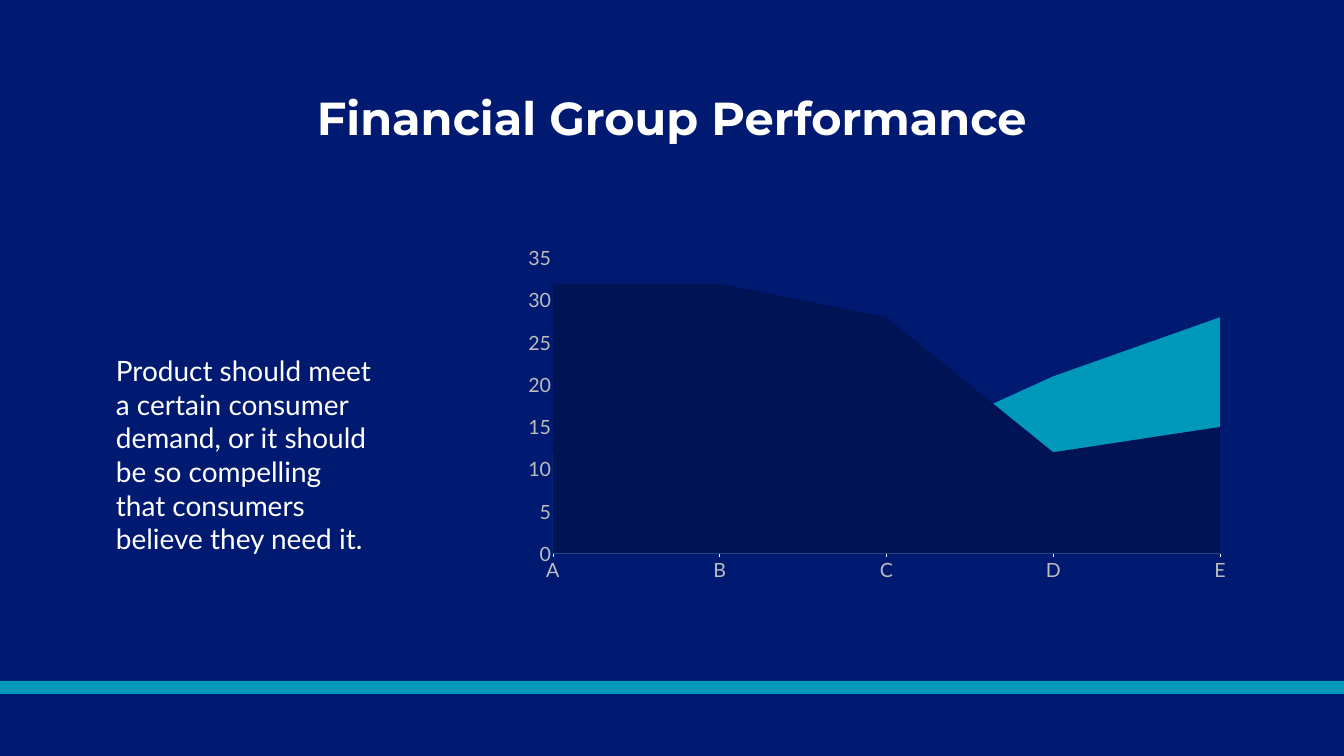
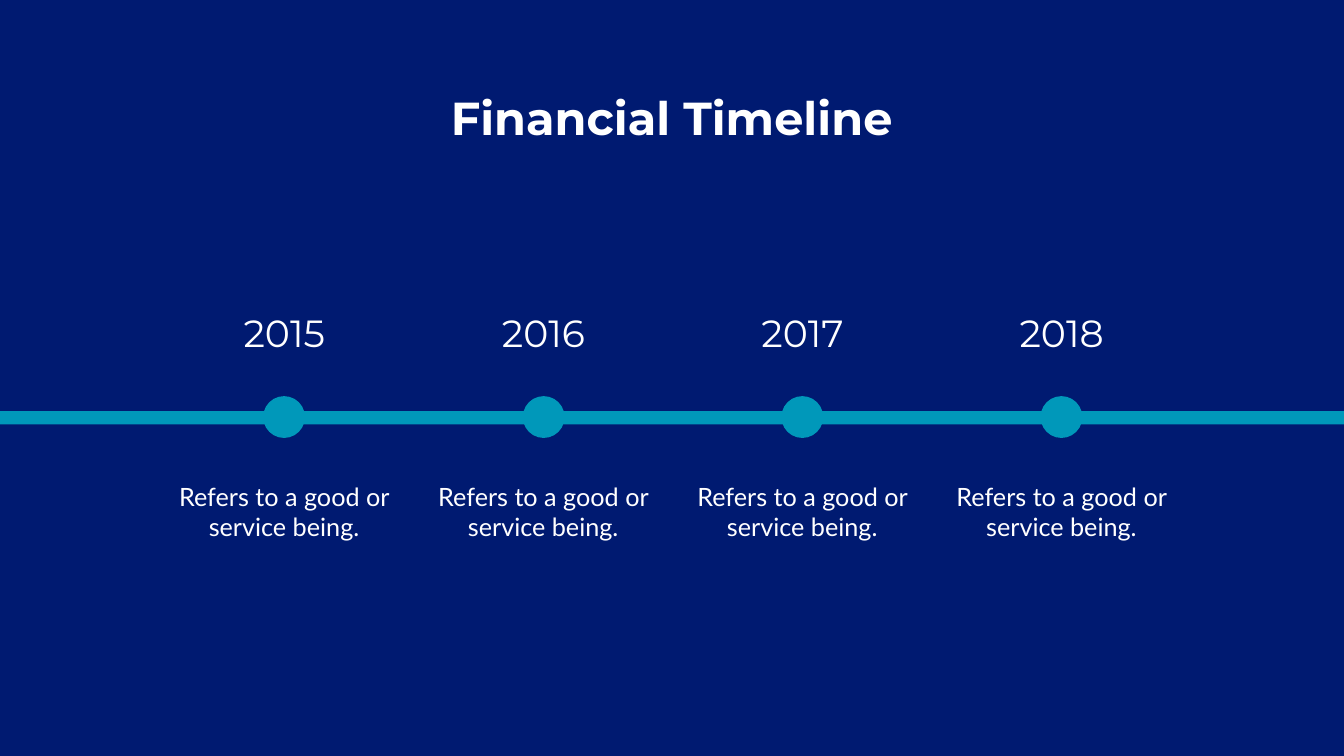
from dataclasses import dataclass

from pptx import Presentation
from pptx import util as u
from pptx.chart.data import CategoryChartData
from pptx.dml.color import RGBColor
from pptx.enum import chart as charts, shapes, text

PERFORMANCE_TITLE = "Financial Group Performance"
PERFORMANCE_NOTE = ("Product should meet a certain consumer demand, or it should "
                    "be so compelling that consumers believe they need it.")
GROUPS = ["A", "B", "C", "D", "E"]
PERFORMANCE = {
    "Series 1": [32, 32, 28, 12, 15],
    "Series 2": [12, 12, 12, 21, 28],
}

TIMELINE_TITLE = "Financial Timeline"
MILESTONES = [(year, "Refers to a good or service being.")
              for year in ("2015", "2016", "2017", "2018")]


@dataclass(frozen=True)
class Theme:
    navy: str = "001A71"
    deep: str = "001355"
    teal: str = "0098BA"
    white: str = "FFFFFF"
    label: str = "BDBDBD"
    axis: str = "F0F0F0"
    heading: str = "Montserrat"
    body: str = "Lato"
    title_size: int = 66
    year_size: int = 54
    note_size: int = 40
    detail_size: int = 36
    chart_size: int = 28


THEME = Theme()
WIDTH, HEIGHT = 26.66, 15
BAND_HEIGHT = 0.26
FIRST_MILESTONE, MILESTONE_PITCH = 5.64, 5.14
DOT = 0.83
YEAR_WIDTH, DETAIL_WIDTH = 2.36, 5.67
PLAIN_INSETS, WIDE_INSETS = (0.1, 0.05), (0.24, 0.12)


def place(left, top, width, height):
    return [u.Inches(round(length, 2)) for length in (left, top, width, height)]


def style_font(font, size, colour, name, bold=False):
    font.size, font.name, font.bold = u.Pt(size), name, bold
    font.color.rgb = RGBColor.from_string(colour)


def add_block(parent, preset, box, colour):
    """Add a flat, unoutlined preset shape."""
    block = parent.add_shape(preset, *place(*box))
    block.shadow.inherit = False
    block.fill.solid()
    block.fill.fore_color.rgb = RGBColor.from_string(colour)
    block.line.fill.background()


def add_band(parent, top, height=BAND_HEIGHT, colour=THEME.teal):
    """Add a rectangle across the full slide width."""
    add_block(parent, shapes.MSO_SHAPE.RECTANGLE, (0, top, WIDTH, height), colour)


def add_words(parent, words, box, size, name, bold=False, centred=True,
              insets=PLAIN_INSETS):
    frame = parent.add_textbox(*place(*box)).text_frame
    frame.word_wrap = True
    frame.auto_size = text.MSO_AUTO_SIZE.SHAPE_TO_FIT_TEXT
    frame.margin_left = frame.margin_right = u.Inches(insets[0])
    frame.margin_top = frame.margin_bottom = u.Inches(insets[1])
    paragraph = frame.paragraphs[0]
    paragraph.alignment = text.PP_ALIGN.CENTER if centred else text.PP_ALIGN.LEFT
    run = paragraph.add_run()
    run.text = words
    style_font(run.font, size, THEME.white, name, bold)


def start_slide(deck, title):
    """Add a blank slide with the shared backdrop and title."""
    slide = deck.slides.add_slide(deck.slide_layouts[6])
    add_band(slide.shapes, 0, HEIGHT, THEME.navy)
    add_words(slide.shapes, title, (5.15, 1.72, 16.35, 1.21),
              THEME.title_size, THEME.heading, bold=True)
    return slide


def add_performance_chart(slide):
    figures = CategoryChartData()
    figures.categories = GROUPS
    for name, values in PERFORMANCE.items():
        figures.add_series(name, values)
    chart = slide.shapes.add_chart(charts.XL_CHART_TYPE.AREA,
                                   *place(10.19, 4.75, 14.41, 6.94), figures).chart
    chart.has_legend = chart.has_title = False
    style_font(chart.font, THEME.chart_size, THEME.label, THEME.body)
    for series, colour in zip(chart.plots[0].series, (THEME.deep, THEME.teal)):
        series.format.fill.solid()
        series.format.fill.fore_color.rgb = RGBColor.from_string(colour)
        series.format.line.fill.background()

    groups, scale = chart.category_axis, chart.value_axis
    for axis in (groups, scale):
        axis.has_major_gridlines = False
        axis.minor_tick_mark = charts.XL_TICK_MARK.NONE
        style_font(axis.tick_labels.font, THEME.chart_size, THEME.label, THEME.body)
    groups.major_tick_mark = charts.XL_TICK_MARK.OUTSIDE
    groups.format.line.color.rgb = RGBColor.from_string(THEME.axis)
    groups.format.line.width = u.Pt(0.75)
    scale.major_tick_mark = charts.XL_TICK_MARK.NONE
    scale.format.line.fill.background()
    scale.minimum_scale, scale.maximum_scale, scale.major_unit = 0, 35, 5


def build_performance(deck):
    slide = start_slide(deck, PERFORMANCE_TITLE)
    add_band(slide.shapes, 13.51)
    add_performance_chart(slide)
    add_words(slide.shapes, PERFORMANCE_NOTE, (2.06, 6.9, 5.57, 4.28),
              THEME.note_size, THEME.body, centred=False, insets=WIDE_INSETS)


def build_timeline(deck):
    slide = start_slide(deck, TIMELINE_TITLE)
    timeline = slide.shapes.add_group_shape().shapes
    add_band(timeline, 8.16)
    for index, (year, detail) in enumerate(MILESTONES):
        centre = FIRST_MILESTONE + index * MILESTONE_PITCH
        add_words(timeline, year, (centre - YEAR_WIDTH / 2, 6.1, YEAR_WIDTH, 1.01),
                  THEME.year_size, THEME.heading)
        add_block(timeline, shapes.MSO_SHAPE.OVAL,
                  (centre - DOT / 2, 7.86, DOT, DOT), THEME.teal)
        add_words(timeline, detail,
                  (centre - DETAIL_WIDTH / 2, 9.43, DETAIL_WIDTH, 1.45),
                  THEME.detail_size, THEME.body, insets=WIDE_INSETS)


def main():
    deck = Presentation()
    deck.slide_width, deck.slide_height = u.Inches(WIDTH), u.Inches(HEIGHT)
    build_performance(deck)
    build_timeline(deck)
    deck.save("out.pptx")


if __name__ == "__main__":
    main()
